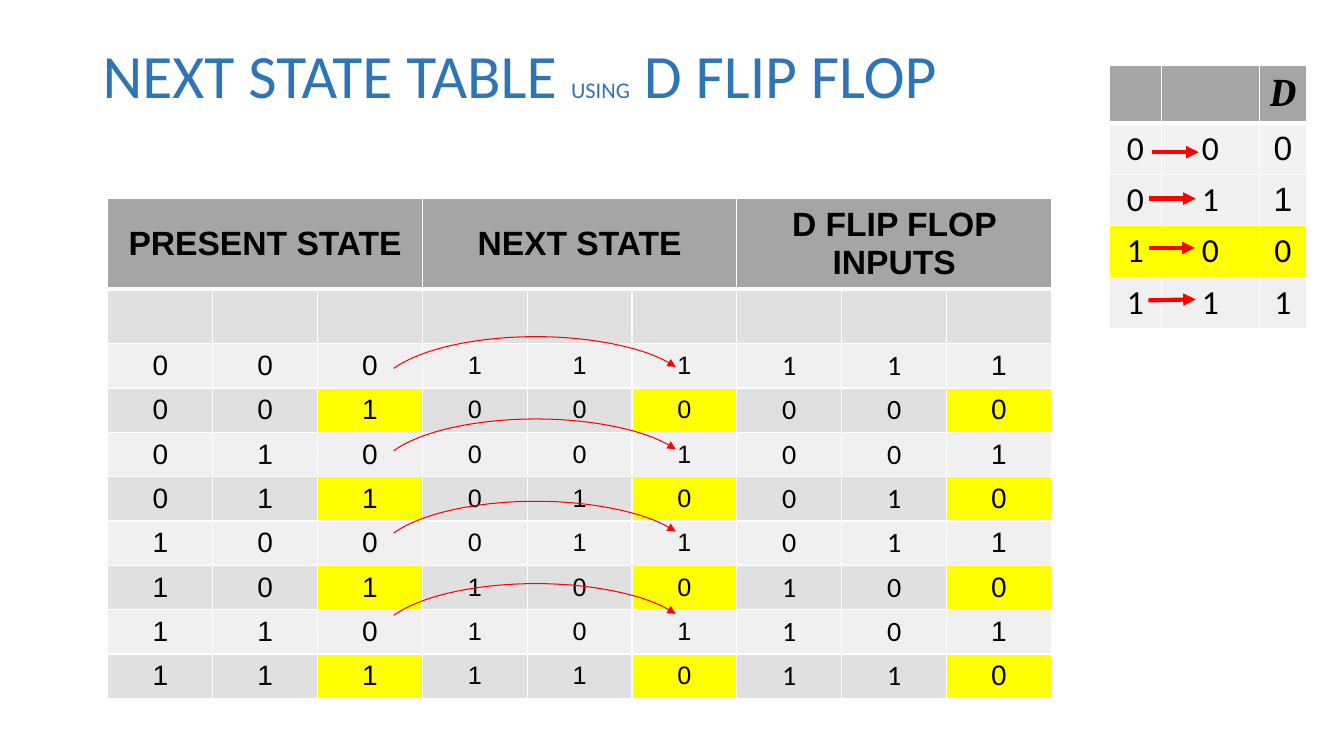
"""Build the next state table slide for a D flip flop counter."""
from lxml.etree import SubElement
from pptx import Presentation
from pptx.dml.color import RGBColor
from pptx.enum.shapes import MSO_CONNECTOR, MSO_SHAPE
from pptx.enum.text import MSO_ANCHOR, PP_ALIGN
from pptx.oxml import parse_xml
from pptx.oxml.ns import nsdecls, qn
from pptx.util import Inches, Pt

BLUE = RGBColor(0x2E, 0x75, 0xB5)
RED = RGBColor(0xFF, 0x00, 0x00)
BLACK = RGBColor(0x00, 0x00, 0x00)
GREY = RGBColor(0xA5, 0xA5, 0xA5)
DARK = RGBColor(0xE0, 0xE0, 0xE0)
LIGHT = RGBColor(0xF0, 0xF0, 0xF0)
PALE = RGBColor(0xF2, 0xF2, 0xF2)
GOLD = RGBColor(0xFF, 0xFF, 0x00)

TITLE = [("NEXT STATE TABLE ", 44), ("USING", 16), (" D FLIP FLOP", 44)]
HEADS = ["PRESENT STATE", "NEXT STATE", "D FLIP FLOP INPUTS"]
STATES = [("000", "111"), ("001", "000"), ("010", "001"), ("011", "010"),
          ("100", "011"), ("101", "100"), ("110", "101"), ("111", "110")]
FONTS = [("Arial", 20)] * 3 + [("Arial", 18)] * 3 + [("Calibri", 20)] * 2 + [("Arial", 20)]
RULES = [("000", PALE, "Arial"), ("011", LIGHT, "Arial"),
         ("100", GOLD, "Calibri"), ("111", LIGHT, "Calibri")]
ARROWS = [(11.4, 1.97, 11.86, 1.97), (11.4, 2.46, 11.85, 2.46),
          (11.39, 2.98, 11.86, 2.97), (11.43, 1.51, 11.89, 1.51)]

SPAN = 3
STATE_AT, STATE_COLS = (1.07, 1.97), [1.04] * 9
STATE_ROWS = [0.83, 0.54] + [0.44] * len(STATES)
RULE_AT, RULE_COLS = (11, 0.65), [0.52, 0.97, 0.47]
RULE_ROWS = [0.57] + [0.51] * len(RULES)
ARC_AT, ARC_SIZE, ARC_STEP = (3.73, 3.34), (3.17, 1.16), 2.45 / 3


def write(para, text, size, face, color=BLACK, bold=False, italic=False):
    run = para.add_run()
    run.text = text
    font = run.font
    font.size, font.name = Pt(size), face
    font.bold, font.italic = bold, italic
    font.color.rgb = color


def label(cell, text, size, face, **style):
    para = cell.text_frame.paragraphs[0]
    para.alignment = PP_ALIGN.CENTER
    write(para, text, size, face, **style)


def edge(cell, row):
    props = cell._tc.get_or_add_tcPr()
    wide = {0: "B", 1: "T"}.get(row)
    for pos, side in enumerate("LRTB"):
        width = Pt(3 if side == wide else 1)
        props.insert(pos, parse_xml(
            f'<a:ln{side} {nsdecls("a")} w="{width}"><a:solidFill>'
            f'<a:srgbClr val="FFFFFF"/></a:solidFill></a:ln{side}>'))


def grid(slide, spot, cols, rows, shade):
    size = Inches(sum(cols)), Inches(sum(rows))
    table = slide.shapes.add_table(len(rows), len(cols), *map(Inches, spot), *size).table
    table.first_row = table.horz_banding = False
    for col, width in zip(table.columns, cols):
        col.width = Inches(width)
    for row, (line, height) in enumerate(zip(table.rows, rows)):
        line.height = Inches(height)
        for col, cell in enumerate(line.cells):
            cell.vertical_anchor = MSO_ANCHOR.MIDDLE
            cell.fill.solid()
            cell.fill.fore_color.rgb = shade(row, col)
            edge(cell, row)
    return table


def point(shape, width):
    shape.line.color.rgb = RED
    shape.line.width = Pt(width)
    SubElement(shape.line._get_or_add_ln(), qn("a:tailEnd"), type="triangle")


def state_fill(row, col):
    if row == 0:
        return GREY
    if row % 2 == 0:
        return LIGHT
    return GOLD if row > 1 and col % SPAN == SPAN - 1 else DARK


def rule_fill(row, col):
    return RULES[row - 1][1] if row else GREY


def add_title(slide):
    frame = slide.shapes.add_textbox(*map(Inches, (0.92, 0.4, 11.5, 1.45))).text_frame
    frame.word_wrap = True
    para = frame.paragraphs[0]
    para.line_spacing = 0.9
    for text, size in TITLE:
        write(para, text, size, "Calibri", BLUE)


def add_rules(slide):
    table = grid(slide, RULE_AT, RULE_COLS, RULE_ROWS, rule_fill)
    label(table.cell(0, 2), "D", 28, "Cambria", bold=True, italic=True)
    for row, (bits, _, last) in enumerate(RULES, 1):
        for col, (bit, face) in enumerate(zip(bits, ("Calibri", "Calibri", last))):
            label(table.cell(row, col), bit, 24, face)
    for ends in ARROWS:
        arrow = slide.shapes.add_connector(MSO_CONNECTOR.STRAIGHT, *map(Inches, ends))
        point(arrow, 3)
        SubElement(arrow._element.spPr, qn("a:effectLst"))


def add_states(slide):
    table = grid(slide, STATE_AT, STATE_COLS, STATE_ROWS, state_fill)
    for part, head in enumerate(HEADS):
        cell = table.cell(0, part * SPAN)
        cell.merge(table.cell(0, part * SPAN + SPAN - 1))
        label(cell, head, 24, "Arial", bold=True)
    for row, (now, then) in enumerate(STATES, 2):
        for col, (bit, (face, size)) in enumerate(zip(now + then + then, FONTS)):
            label(table.cell(row, col), bit, size, face)
    left, top = ARC_AT
    for turn in range(len(STATES) // 2):
        box = (left, top + turn * ARC_STEP, *ARC_SIZE)
        arc = slide.shapes.add_shape(MSO_SHAPE.ARC, *map(Inches, box))
        arc.adjustments[0], arc.adjustments[1] = 114.384, 209.146
        arc.shadow.inherit = False
        arc.fill.background()
        point(arc, 0.75)


def main():
    deck = Presentation()
    deck.slide_width, deck.slide_height = Inches(13.33), Inches(7.5)
    slide = deck.slides.add_slide(deck.slide_layouts[6])
    add_title(slide)
    add_rules(slide)
    add_states(slide)
    deck.save("out.pptx")


if __name__ == "__main__":
    main()
